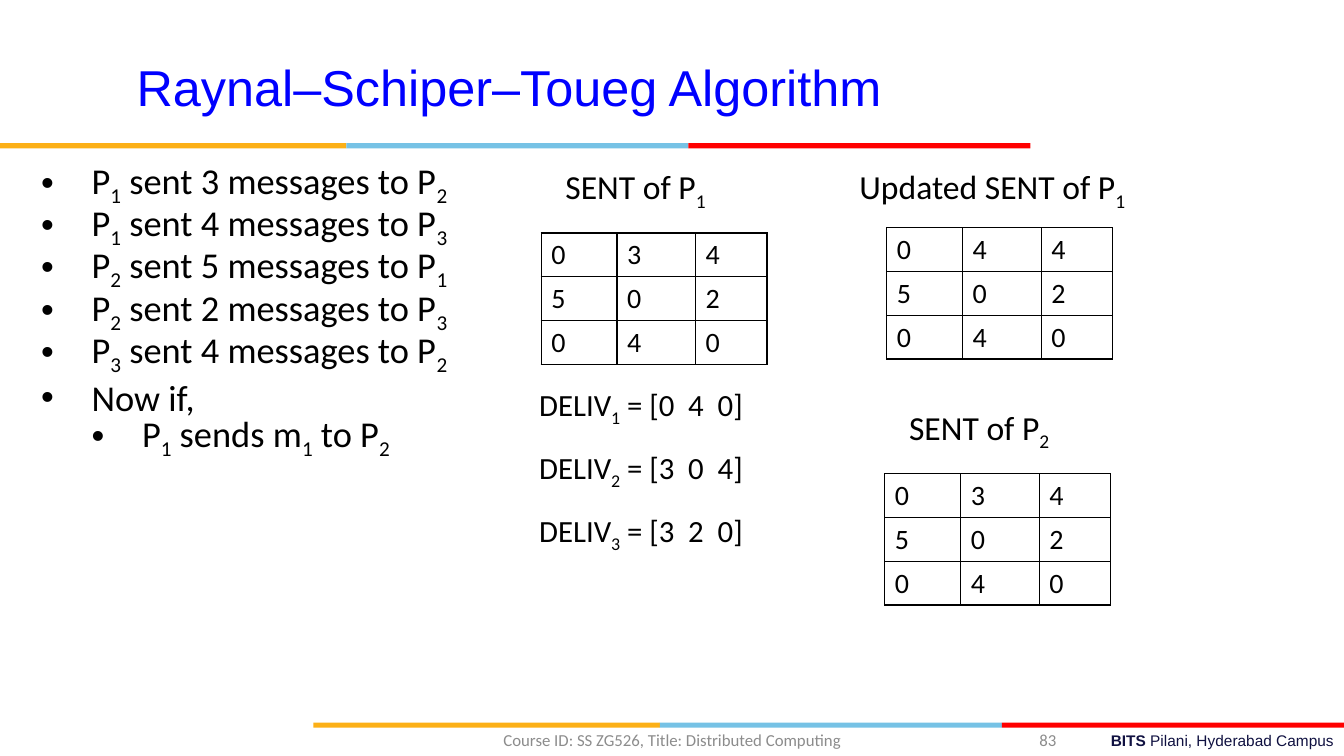
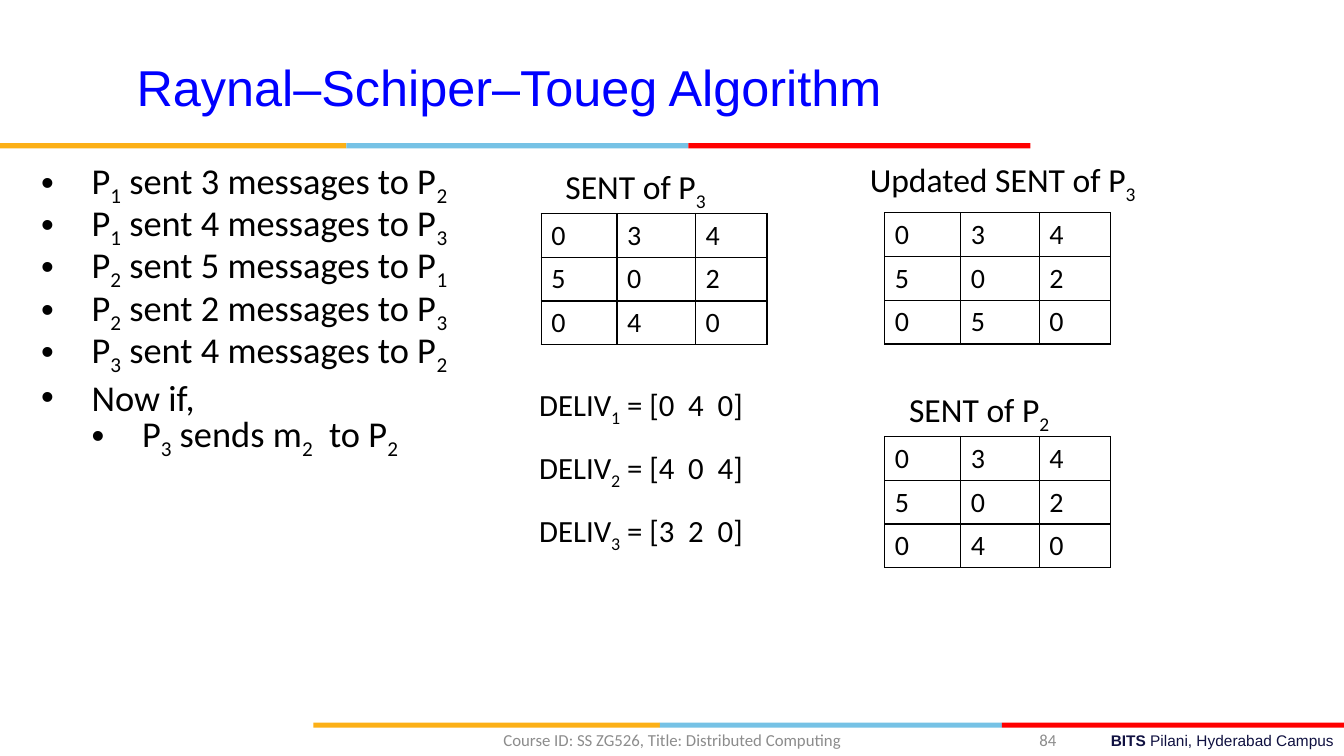
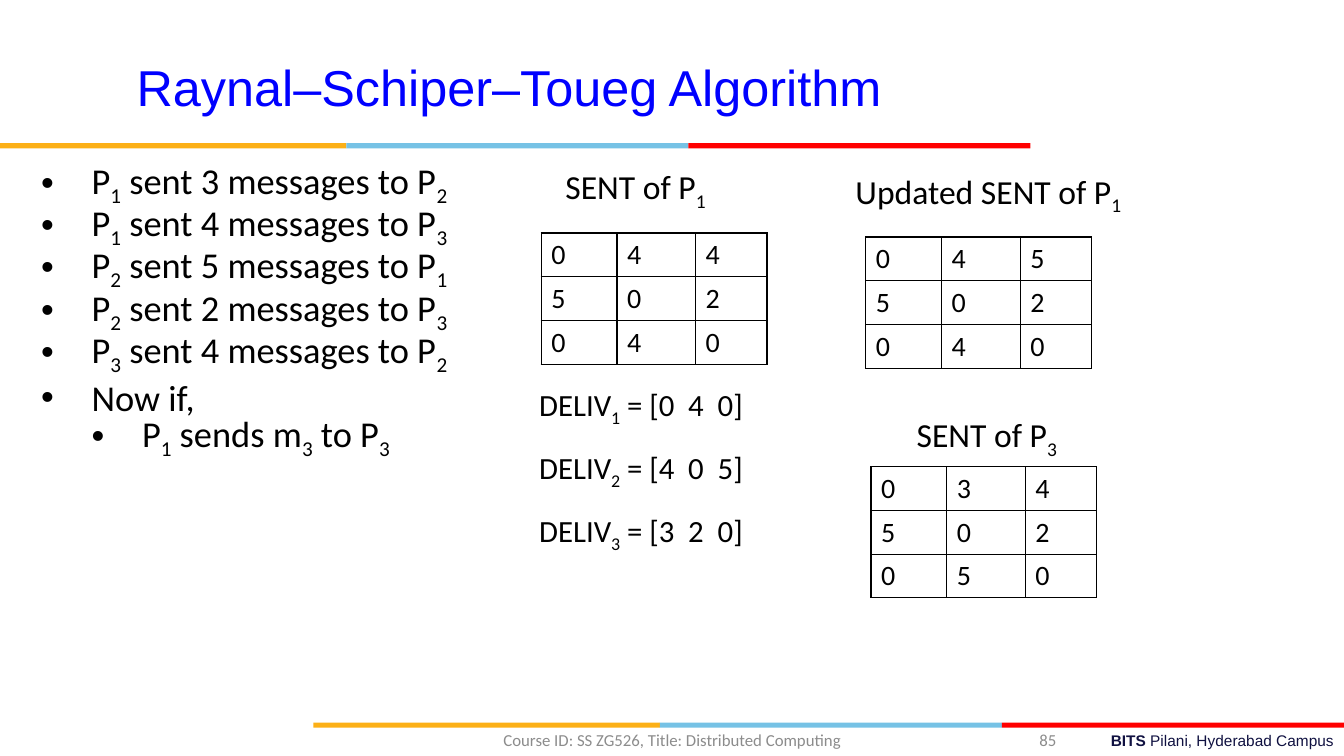
from dataclasses import dataclass

import pptx
import pptx.dml.color
import pptx.enum.shapes
import pptx.enum.text
import pptx.oxml
import pptx.oxml.ns
import pptx.util
from lxml import etree

Cm = pptx.util.Cm
Pt = pptx.util.Pt
RGBColor = pptx.dml.color.RGBColor
Align = pptx.enum.text.PP_ALIGN
Anchor = pptx.enum.text.MSO_ANCHOR
qn = pptx.oxml.ns.qn

BLACK = RGBColor(0x00, 0x00, 0x00)
TITLE_BLUE = RGBColor(0x00, 0x00, 0xFF)
NAVY = RGBColor(0x10, 0x11, 0x41)
GREY = RGBColor(0x8C, 0x8C, 0x8C)
AMBER = RGBColor(0xFC, 0xB0, 0x17)
SKY = RGBColor(0x76, 0xC2, 0xE5)
RED = RGBColor(0xFF, 0x00, 0x00)

BODY_FONT = "Calibri"
BRAND_FONT = "Arial"
TITLE = "Raynal–Schiper–Toueg Algorithm"
COURSE = "Course ID: SS ZG526, Title: Distributed Computing"
FIRST_PAGE = 83

BAND_PARTS = ((AMBER, 8.73), (SKY, 8.62), (RED, 8.62))
BAND_HEIGHT = 0.13
COLUMN_WIDTHS = (1.91, 1.98, 1.8)
ROW_HEIGHT = 1.1
INDENT = 1.27

MESSAGES_SENT = (
    "P_1 sent 3 messages to P_2",
    "P_1 sent 4 messages to P_3",
    "P_2 sent 5 messages to P_1",
    "P_2 sent 2 messages to P_3",
    "P_3 sent 4 messages to P_2",
    "Now if,",
)


@dataclass
class Matrix:
    """A captioned SENT matrix; positions are (left, top) in cm, rows are digit strings."""
    caption: str
    caption_at: tuple
    grid_at: tuple
    rows: tuple


@dataclass
class Step:
    event: str
    delivered: tuple
    matrices: tuple


STEPS = (
    Step("P_1 sends m_1 to P_2", ("0  4  0", "3  0  4", "3  2  0"), (
        Matrix("SENT of P_1", (14, 4.06), (13.64, 5.87), ("034", "502", "040")),
        Matrix("Updated SENT of P_1", (21.41, 4.06), (22.35, 5.74), ("044", "502", "040")),
        Matrix("SENT of P_2", (22.66, 10.13), (22.3, 11.94), ("034", "502", "040")),
    )),
    Step("P_3 sends m_2  to P_2", ("0  4  0", "4  0  4", "3  2  0"), (
        Matrix("SENT of P_3", (14, 4.06), (13.64, 5.38), ("034", "502", "040")),
        Matrix("Updated SENT of P_3", (21.67, 3.89), (22.3, 5.36), ("034", "502", "050")),
        Matrix("SENT of P_2", (22.66, 9.68), (22.3, 11), ("034", "502", "040")),
    )),
    Step("P_1 sends m_3 to P_3", ("0  4  0", "4  0  5", "3  2  0"), (
        Matrix("SENT of P_1", (14, 4.06), (13.64, 5.87), ("044", "502", "040")),
        Matrix("Updated SENT of P_1", (21.31, 4.17), (21.82, 5.97), ("045", "502", "040")),
        Matrix("SENT of P_3", (22.85, 10.31), (21.95, 11.76), ("034", "502", "050")),
    )),
)


def style_font(font, size, color, name=BODY_FONT):
    font.size = Pt(size)
    font.color.rgb = color
    font.name = name


def write_subscripted(paragraph, text, size):
    """Write text in which the character after each underscore is a subscript."""
    first, *marked = text.split("_")
    pieces = [(first, False)]
    for part in marked:
        pieces += [(part[0], True), (part[1:], False)]
    for piece, lowered in pieces:
        if piece:
            run = paragraph.add_run()
            run.text = piece
            style_font(run.font, size, BLACK)
            if lowered:
                run.font._element.set("baseline", "-25000")


def add_text_frame(slide, left, top, width, height):
    box = slide.shapes.add_textbox(Cm(left), Cm(top), Cm(width), Cm(height))
    box.text_frame.word_wrap = True
    return box.text_frame


def add_subscripted_lines(slide, place, lines, size):
    frame = add_text_frame(slide, *place)
    for index, line in enumerate(lines):
        paragraph = frame.add_paragraph() if index else frame.paragraphs[0]
        write_subscripted(paragraph, line, size)
    return frame.paragraphs


def set_bullet(paragraph, level):
    properties = paragraph._p.get_or_add_pPr()
    properties.set("marL", str(Cm(INDENT * (level + 1))))
    properties.set("indent", str(-Cm(INDENT)))
    etree.SubElement(properties, qn("a:buFont")).set("typeface", BRAND_FONT)
    etree.SubElement(properties, qn("a:buChar")).set("char", "•")
    paragraph.level = level
    paragraph.line_spacing = Pt(30.2)


def add_band(slide, left, top):
    for color, width in BAND_PARTS:
        part = slide.shapes.add_shape(
            pptx.enum.shapes.MSO_SHAPE.RECTANGLE,
            Cm(left), Cm(top), Cm(width), Cm(BAND_HEIGHT))
        part.shadow.inherit = False
        part.fill.solid()
        part.fill.fore_color.rgb = color
        part.line.fill.background()
        left += width


def add_footer_text(slide, left, width, text, alignment):
    frame = add_text_frame(slide, left, 18.14, width, 1.02)
    frame.vertical_anchor = Anchor.MIDDLE
    paragraph = frame.paragraphs[0]
    paragraph.text = text
    paragraph.alignment = alignment
    style_font(paragraph.runs[0].font, 12, GREY)


def add_campus(slide):
    paragraph = add_text_frame(slide, 12.14, 18.31, 21.73, 0.74).paragraphs[0]
    paragraph.alignment = Align.RIGHT
    for text, bold in (("BITS ", True), ("Pilani, Hyderabad Campus", False)):
        run = paragraph.add_run()
        run.text = text
        style_font(run.font, 11, NAVY, BRAND_FONT)
        run.font.bold = bold


def set_title(slide):
    title = slide.shapes.title
    title.left, title.top, title.width, title.height = Cm(1.12), Cm(0.58), Cm(23.42), Cm(3.18)
    title.text_frame.text = TITLE
    title.text_frame.vertical_anchor = Anchor.MIDDLE
    paragraph = title.text_frame.paragraphs[0]
    paragraph.alignment = Align.CENTER
    style_font(paragraph.runs[0].font, 36, TITLE_BLUE, BRAND_FONT)


def add_framed_slide(deck, page):
    """Add a slide with the title, bands and footer that all slides share."""
    slide = deck.slides.add_slide(deck.slide_layouts[5])
    add_band(slide, 0, 3.61)
    add_band(slide, 7.9, 18.21)
    add_campus(slide)
    set_title(slide)
    add_footer_text(slide, 11.23, 11.43, COURSE, Align.CENTER)
    add_footer_text(slide, 23.42, 3.45, str(page), Align.RIGHT)
    return slide


def outline_cell(cell):
    properties = cell._tc.get_or_add_tcPr()
    for side in ("a:lnL", "a:lnR", "a:lnT", "a:lnB"):
        line = etree.SubElement(properties, qn(side), w=str(Pt(1)))
        fill = etree.SubElement(line, qn("a:solidFill"))
        etree.SubElement(fill, qn("a:srgbClr"), val=str(BLACK))
    cell.fill.background()


def add_grid(slide, left, top, rows):
    grid = slide.shapes.add_table(
        len(rows), len(COLUMN_WIDTHS), Cm(left), Cm(top),
        Cm(sum(COLUMN_WIDTHS)), Cm(ROW_HEIGHT * len(rows))).table
    grid.first_row = grid.horz_banding = False
    for column, width in zip(grid.columns, COLUMN_WIDTHS):
        column.width = Cm(width)
    for grid_row, digits in zip(grid.rows, rows):
        grid_row.height = Cm(ROW_HEIGHT)
        for cell, digit in zip(grid_row.cells, digits):
            cell.text_frame.text = digit
            style_font(cell.text_frame.paragraphs[0].runs[0].font, 20, BLACK)
            outline_cell(cell)


def add_matrix(slide, matrix):
    width = 8.1 if matrix.caption.startswith("Updated") else 5.4
    add_subscripted_lines(slide, (*matrix.caption_at, width, 1.27), [matrix.caption], 24)
    add_grid(slide, *matrix.grid_at, matrix.rows)


def add_messages(slide, event):
    paragraphs = add_subscripted_lines(
        slide, (0.79, 4.04, 14.5, 7.75), [*MESSAGES_SENT, event], 26)
    for paragraph in paragraphs:
        set_bullet(paragraph, 0)
    set_bullet_level_below(paragraphs[-1])


def set_bullet_level_below(paragraph):
    paragraph.level = 1
    paragraph._p.get_or_add_pPr().set("marL", str(Cm(INDENT * 2)))


def add_delivered(slide, vectors):
    lines = [f"DELIV_{process} = [{vector}]" for process, vector in enumerate(vectors, 1)]
    for paragraph in add_subscripted_lines(slide, (13.34, 9.07, 8.99, 4.34), lines, 22):
        paragraph.line_spacing = 1.5


def main():
    deck = pptx.Presentation()
    deck.slide_width, deck.slide_height = Cm(33.87), Cm(19.05)
    for page, step in enumerate(STEPS, FIRST_PAGE):
        slide = add_framed_slide(deck, page)
        add_messages(slide, step.event)
        add_delivered(slide, step.delivered)
        for matrix in step.matrices:
            add_matrix(slide, matrix)
    deck.save("out.pptx")


if __name__ == "__main__":
    main()
